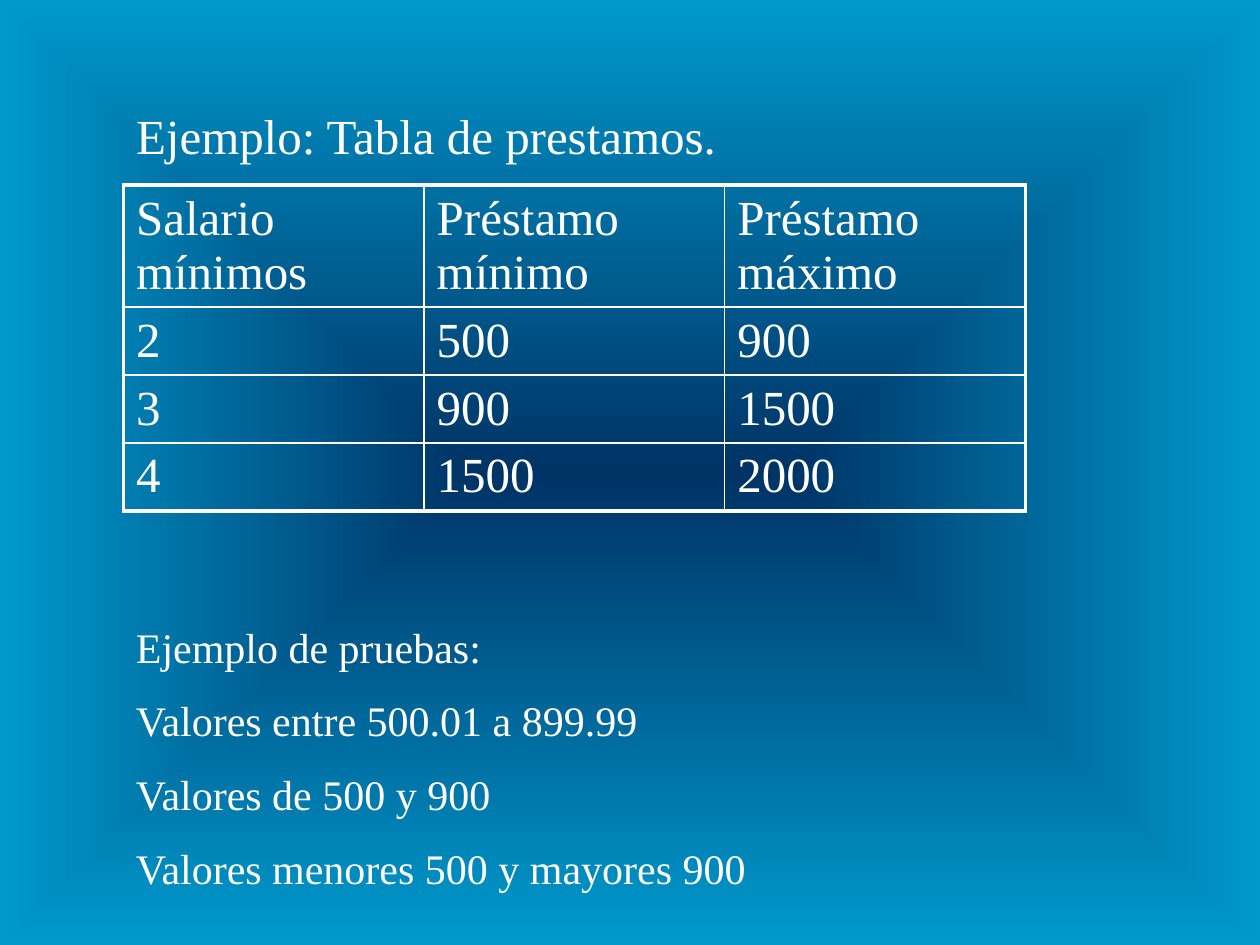
"""Build the loan table slide with its test examples."""
from lxml.etree import SubElement
from pptx import Presentation
from pptx.dml.color import RGBColor
from pptx.enum.text import MSO_ANCHOR, PP_ALIGN
from pptx.oxml import parse_xml
from pptx.oxml.ns import nsdecls, qn
from pptx.util import Cm, Pt

TITLE = "Ejemplo: Tabla de prestamos."
LOANS = [
    ("Salario mínimos", "Préstamo mínimo", "Préstamo máximo"),
    ("2", "500", "900"),
    ("3", "900", "1500"),
    ("4", "1500", "2000"),
]
TESTS = [
    "Ejemplo de pruebas:",
    "Valores entre 500.01 a 899.99",
    "Valores de 500 y 900",
    "Valores menores 500 y mayores 900",
]
HUES = {"core": "003366", "edge": "0099CC", "ink": "FFFFFF"}
FONT = "Times New Roman"
LEFT = Cm(2.49)
COL, HEAD, ROW = Cm(6.06), Cm(2.46), Cm(1.37)
THICK, THIN = Pt(2.25), Pt(1)


def style(par, size):
    """Set the font of a paragraph."""
    par.alignment = PP_ALIGN.LEFT
    par.font.name = FONT
    par.font.size = Pt(size)
    par.font.color.rgb = RGBColor.from_string(HUES["ink"])


def border(cell, sides):
    """Draw the cell borders, given as tag and width."""
    props = cell._tc.get_or_add_tcPr()
    for spot, (tag, width) in enumerate(sides):
        line = props.makeelement(qn(f"a:{tag}"), {"w": str(int(width))})
        fill = SubElement(line, qn("a:solidFill"))
        SubElement(fill, qn("a:srgbClr"), val=HUES["ink"])
        props.insert(spot, line)


def paint(slide):
    """Fill the background from the centre outwards."""
    fill = slide.background.fill
    fill.gradient()
    old = slide._element.cSld.find(".//" + qn("a:gradFill"))
    new = parse_xml(
        f'<a:gradFill {nsdecls("a")} rotWithShape="0"><a:gsLst>'
        f'<a:gs pos="0"><a:srgbClr val="{HUES["core"]}"/></a:gs>'
        f'<a:gs pos="100000"><a:srgbClr val="{HUES["edge"]}"/></a:gs>'
        '</a:gsLst><a:path path="shape">'
        '<a:fillToRect l="50000" t="50000" r="50000" b="50000"/>'
        '</a:path></a:gradFill>')
    old.getparent().replace(old, new)


deck = Presentation()
deck.slide_width, deck.slide_height = Cm(25.4), Cm(19.05)
slide = deck.slides.add_slide(deck.slide_layouts[5])
paint(slide)

title = slide.shapes.title
title.left, title.top, title.width, title.height = LEFT, Cm(2), Cm(18.8), Cm(1.63)
title.text = TITLE
title.text_frame.vertical_anchor = MSO_ANCHOR.TOP
style(title.text_frame.paragraphs[0], 28)

rows, cols = len(LOANS), len(LOANS[0])
table = slide.shapes.add_table(
    rows, cols, LEFT, Cm(3.73), COL * cols, HEAD + ROW * (rows - 1)).table
table.first_row = table.horz_banding = False
for col in table.columns:
    col.width = COL
for r, texts in enumerate(LOANS):
    table.rows[r].height = ROW if r else HEAD
    for c, text in enumerate(texts):
        cell = table.cell(r, c)
        cell.text = text
        cell.fill.background()
        style(cell.text_frame.paragraphs[0], 28)
        outer = {"lnL": c == 0, "lnR": c == cols - 1,
                 "lnT": r == 0, "lnB": r == rows - 1}
        border(cell, [(tag, THICK if out else THIN) for tag, out in outer.items()])

box = slide.shapes.add_textbox(LEFT, Cm(12.4), Cm(14.4), Cm(5.7))
frame = box.text_frame
frame.word_wrap = True
frame.text = "\n".join(TESTS)
for n, par in enumerate(frame.paragraphs):
    style(par, 24)
    par.space_before = Pt(13.3 if n else 0)

deck.save("out.pptx")
